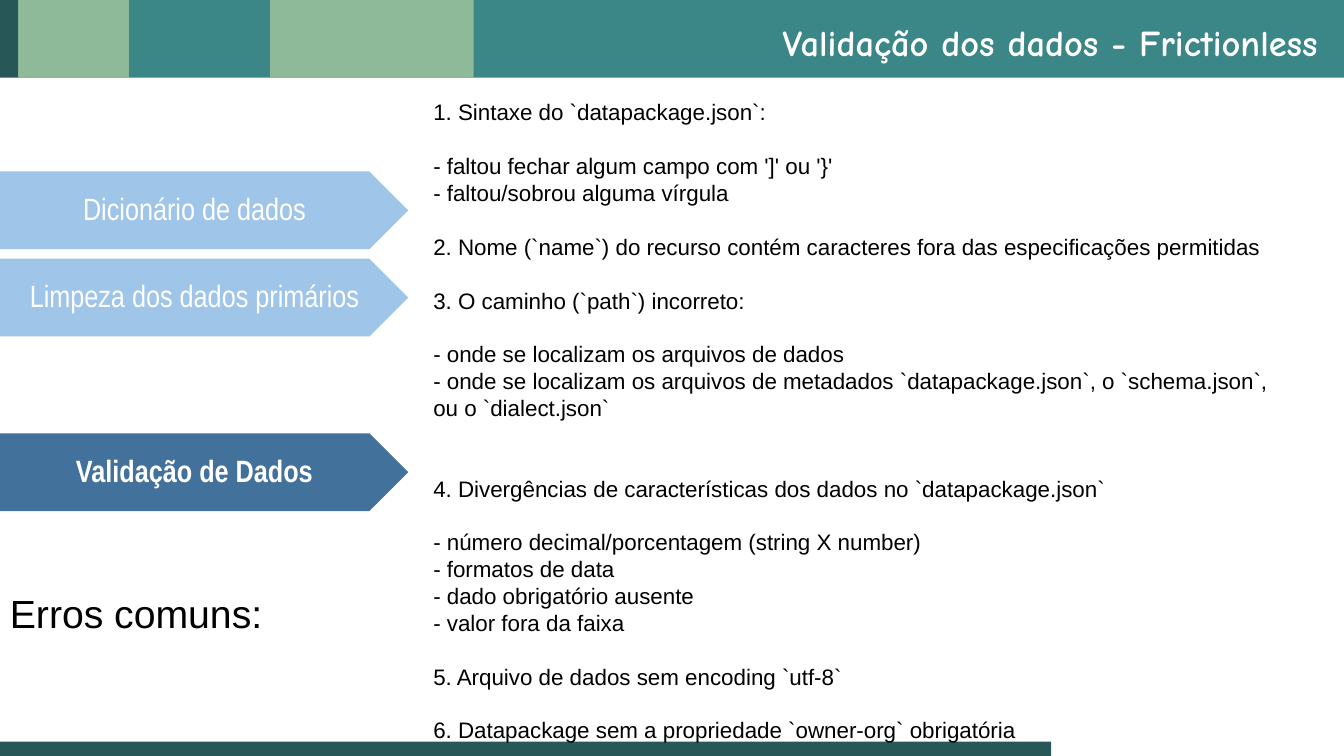
import pptx
import pptx.util
import pptx.dml.color
import pptx.enum.shapes
import pptx.enum.text

Cm = pptx.util.Cm
Pt = pptx.util.Pt
Shapes = pptx.enum.shapes.MSO_SHAPE
Align = pptx.enum.text.PP_ALIGN
Anchor = pptx.enum.text.MSO_ANCHOR

PAGE_WIDTH, PAGE_HEIGHT = 33.87, 19.05
HEADER_HEIGHT = 1.96
DARK, TEAL, GREEN = "275857", "3B8686", "8FBA99"
PALE_BLUE, DEEP_BLUE = "9FC5E8", "42719B"
WHITE, BLACK = "FFFFFF", "000000"
LINE_PITCH = 19.2

STEP_PITCH = 2.2
STEPS = [
    (0, "Dicionário de dados", False),
    (1, "Limpeza dos dados primários", False),
    (3, "Validação de Dados", True),
]

# Each group: blank lines above its first paragraph, then its paragraphs.
ERROR_GROUPS = [
    (0, ["1. Sintaxe do `datapackage.json`:"]),
    (1, ["- faltou fechar algum campo com ']' ou '}'",
         "- faltou/sobrou alguma vírgula"]),
    (1, ["2. Nome (`name`) do recurso contém caracteres fora das especificações permitidas"]),
    (1, ["3. O caminho (`path`) incorreto:"]),
    (1, ["- onde se localizam os arquivos de dados",
         "- onde se localizam os arquivos de metadados `datapackage.json`, "
         "o `schema.json`, ou o `dialect.json`"]),
    (2, ["4. Divergências de características dos dados no `datapackage.json`"]),
    (1, ["- número decimal/porcentagem (string X number)",
         "- formatos de data",
         "- dado obrigatório ausente",
         "- valor fora da faixa"]),
    (1, ["5. Arquivo de dados sem encoding `utf-8`"]),
    (1, ["6. Datapackage sem a propriedade `owner-org` obrigatória"]),
]


def color(value):
    """Return the colour for a hex string."""
    return pptx.dml.color.RGBColor.from_string(value)


def add_block(page, kind, box, fill):
    """Add a flat filled shape in box (left, top, width, height in cm)."""
    shape = page.shapes.add_shape(kind, *map(Cm, box))
    shape.shadow.inherit = False
    shape.fill.solid()
    shape.fill.fore_color.rgb = color(fill)
    shape.line.fill.background()
    return shape


def add_text_box(page, box, anchor=Anchor.TOP):
    """Add a wrapping text box and return its text frame."""
    frame = page.shapes.add_textbox(*map(Cm, box)).text_frame
    frame.word_wrap = True
    frame.vertical_anchor = anchor
    return frame


def write(para, text, font, size, fill, bold=False):
    """Add one formatted run to a paragraph."""
    span = para.add_run()
    span.text = text
    span.font.name = font
    span.font.size = Pt(size)
    span.font.bold = bold
    span.font.color.rgb = color(fill)


def add_header(page, box, title):
    """Draw the striped band and its right-aligned title."""
    left, top, width, height = box
    edge = 0.46
    stripes = [(edge, width - edge, TEAL), (edge, 2.79, GREEN),
               (0, edge, DARK), (6.81, 5.13, GREEN)]
    for offset, stripe_width, fill in stripes:
        add_block(page, Shapes.RECTANGLE,
                  (left + offset, top, stripe_width, height), fill)
    frame = add_text_box(page, (left + 10.29, top + 0.36, 23.19, 1.52), Anchor.MIDDLE)
    para = frame.paragraphs[0]
    para.alignment = Align.RIGHT
    para.line_spacing = 0.9
    write(para, title, "Comic Neue", 26, WHITE, True)


def add_steps(page, box):
    """Draw the step arrows in their rows, with the current one darker."""
    left, top, width, height = box
    for row, label, current in STEPS:
        arrow = add_block(page, Shapes.PENTAGON,
                          (left, top + row * STEP_PITCH, width, height),
                          DEEP_BLUE if current else PALE_BLUE)
        arrow.adjustments[0] = 0.5
        frame = arrow.text_frame
        frame.word_wrap = True
        frame.vertical_anchor = Anchor.MIDDLE
        frame.margin_left = frame.margin_right = Cm(0.33)
        frame.margin_top = frame.margin_bottom = Cm(0.33)
        para = frame.paragraphs[0]
        para.alignment = Align.CENTER
        para.line_spacing = 0.9
        para.space_before = Pt(7)
        write(para, label, "Arial Narrow", 22, WHITE, current)


def add_caption(page, box, text):
    """Write the large caption of the error list."""
    write(add_text_box(page, box).paragraphs[0], text, "Arial", 28, BLACK)


def add_errors(page, box):
    """Write the list of common errors, spaced by group."""
    frame = add_text_box(page, box)
    para = frame.paragraphs[0]
    for gap, lines in ERROR_GROUPS:
        for index, line in enumerate(lines):
            if gap or index:
                para = frame.add_paragraph()
            para.line_spacing = Pt(LINE_PITCH)
            para.space_before = Pt(0 if index else gap * LINE_PITCH)
            write(para, line, "Arial", 16, BLACK)


def main():
    """Build the slide and save it."""
    deck = pptx.Presentation()
    deck.slide_width, deck.slide_height = Cm(PAGE_WIDTH), Cm(PAGE_HEIGHT)
    page = deck.slides.add_slide(deck.slide_layouts[6])
    add_header(page, (0, 0, PAGE_WIDTH, HEADER_HEIGHT),
               "Validação dos dados - Frictionless")
    add_block(page, Shapes.RECTANGLE, (0, PAGE_HEIGHT - 0.36, 26.49, 0.36), DARK)
    add_steps(page, (0, 4.32, 10.29, HEADER_HEIGHT))
    add_caption(page, (0, 14.73, 32.97, 2.64), "Erros comuns:")
    add_errors(page, (10.67, 2.36, 21.74, 17.27))
    deck.save("out.pptx")


if __name__ == "__main__":
    main()
